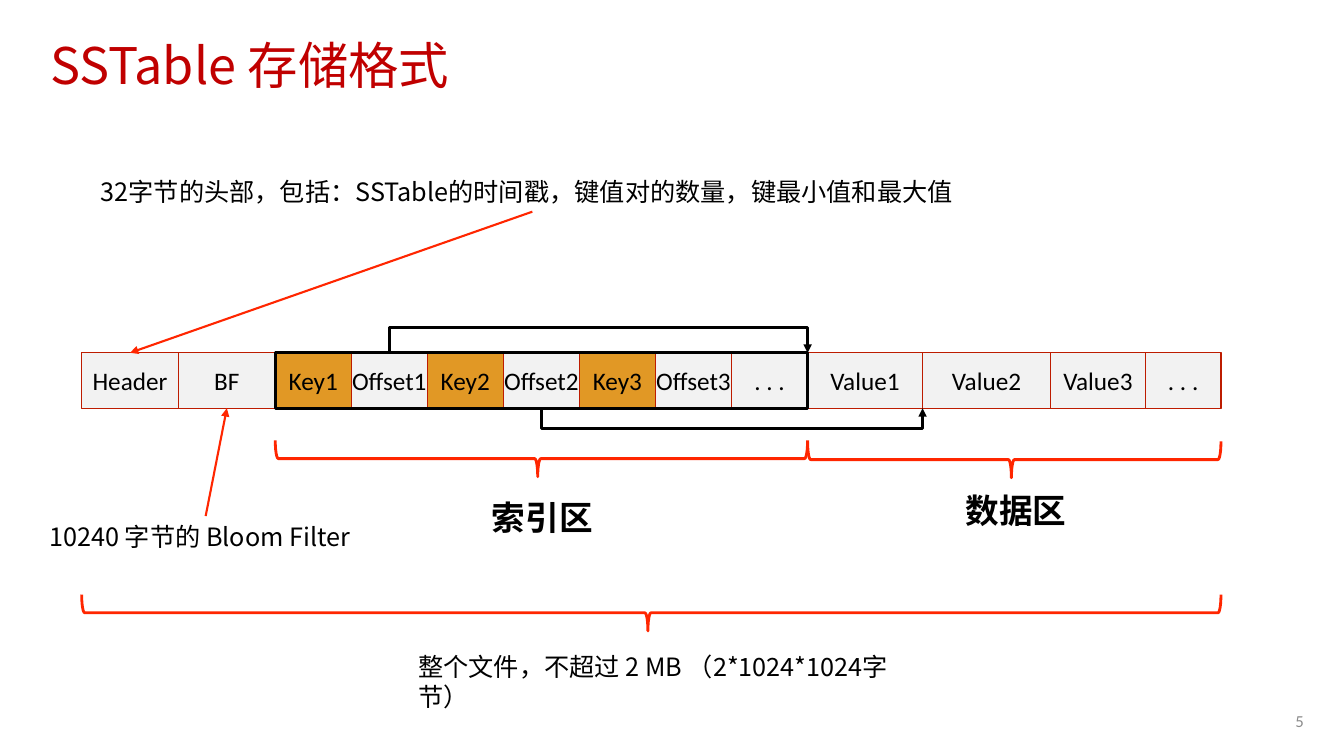
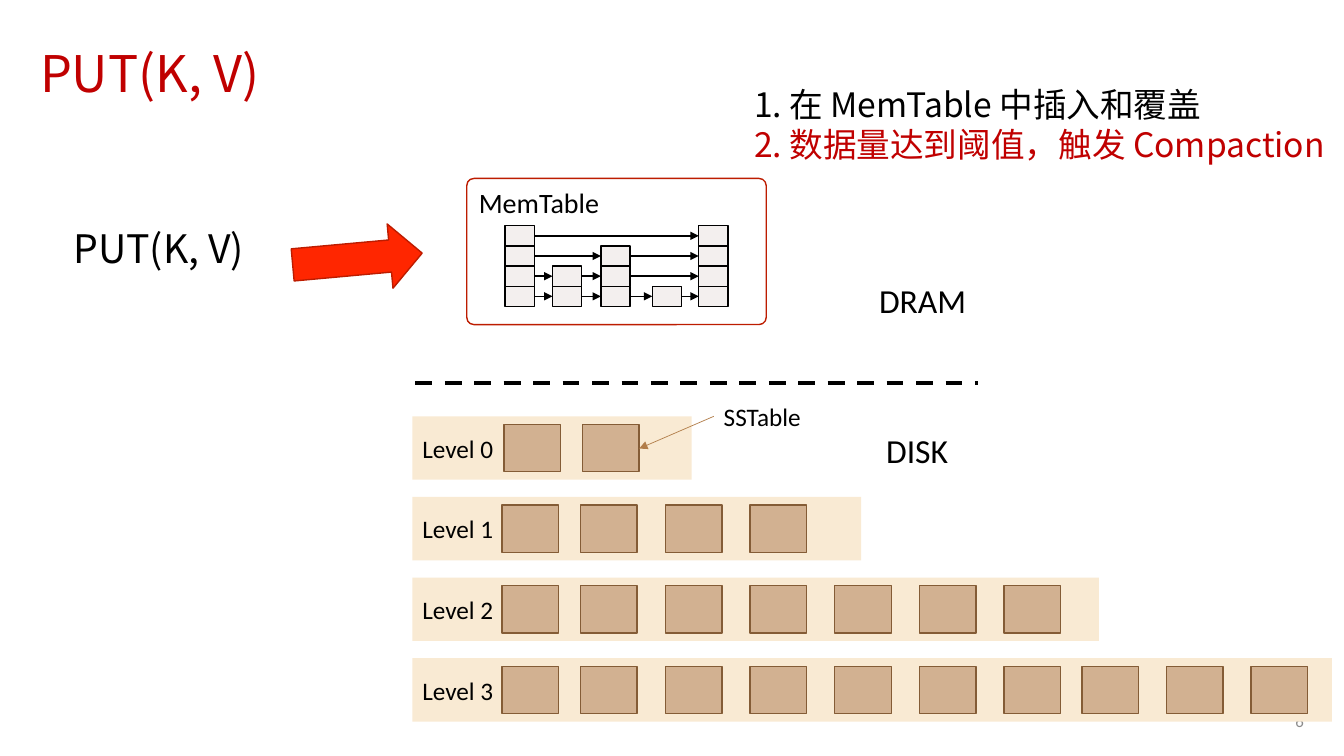
from itertools import pairwise
from lxml.etree import SubElement
from pptx import Presentation
from pptx.dml.color import RGBColor
from pptx.enum.dml import MSO_LINE
from pptx.enum.shapes import MSO_CONNECTOR, MSO_SHAPE
from pptx.enum.text import MSO_ANCHOR, PP_ALIGN
from pptx.oxml.ns import qn
from pptx.util import Inches, Pt


class Theme:
    black = "000000"
    title = "C00000"
    red = "FF2600"
    edge = "BD1C00"
    gold = "E19825"
    pale = "F2F2F2"
    gray = "8C8C8C"
    node = "E7DEDA"
    band = "F9EAD3"
    tan = "D2B191"
    brown = "845C36"
    hint = "B27D49"
    latin = "Calibri"
    cjk = "Noto Sans CJK SC"
    head, call, big, mid, body, foot = 36, 28, 24, 20, 18, 12


KEY = 5.28 / 7
CELLS = [
    ("Header", 0.96, Theme.pale), ("BF", 0.96, Theme.pale),
    ("Key1", KEY, Theme.gold), ("Offset1", KEY, Theme.pale),
    ("Key2", KEY, Theme.gold), ("Offset2", KEY, Theme.pale),
    ("Key3", KEY, Theme.gold), ("Offset3", KEY, Theme.pale),
    (". . .", KEY, Theme.pale), ("Value1", 1.14, Theme.pale),
    ("Value2", 1.27, Theme.pale), ("Value3", 0.94, Theme.pale),
    (". . .", 0.75, Theme.pale),
]
ROW = (0.81, 3.5, 0.55)
AREAS = [("索引区", 4.78, 4.88), ("数据区", 9.48, 4.81)]
NOTES = [
    ("32字节的头部，包括：SSTable的时间戳，键值对的数量，键最小值和最大值", (0.9, 1.7, 8.75, 0.4), True),
    ("10240 字节的 Bloom Filter", (0.39, 5.12, 3.31, 0.4), False),
    ("整个文件，不超过 2 MB （2*1024*1024字节）", (4.05, 6.41, 5.2, 0.4), True),
]
STEPS = [("1. 在 MemTable 中插入和覆盖", Theme.black),
         ("2. 数据量达到阈值，触发 Compaction", Theme.title)]
TOWERS = [(5.01, 4), (5.48, 2), (5.96, 3), (6.47, 1), (6.93, 4)]
LEVELS = [(2.77, 2), (4.45, 4), (6.81, 7), (9.12, 10)]
BLOCKS = [4.98, 5.76, 6.6, 7.44, 8.28, 9.12, 9.96, 10.73, 11.57, 12.41]
LABELS = [("DRAM", (8.62, 2.73, 1.07, 0.5), Theme.big),
          ("DISK", (8.69, 4.22, 0.82, 0.5), Theme.big),
          ("SSTable", (7.08, 3.93, 0.97, 0.4), Theme.body)]


def rgb(code):
    return RGBColor.from_string(code)


def write(frame, lines, size, face=Theme.latin, align=PP_ALIGN.LEFT,
          anchor=MSO_ANCHOR.TOP, wrap=False, bold=False, space=None):
    frame.word_wrap = wrap
    frame.vertical_anchor = anchor
    for i, (text, color) in enumerate(lines):
        para = frame.add_paragraph() if i else frame.paragraphs[0]
        para.text = text
        para.alignment = align
        para.line_spacing = space
        font = para.font
        font.size, font.name, font.bold = Pt(size), face, bold
        font.color.rgb = rgb(color)
        SubElement(font._element, qn("a:ea")).set("typeface", Theme.cjk)


def label(slide, text, box, size, color=Theme.black, **style):
    area = slide.shapes.add_textbox(*map(Inches, box))
    lines = [(text, color)] if isinstance(text, str) else text
    write(area.text_frame, lines, size, **style)


def ink(line, color, width):
    line.color.rgb = rgb(color)
    line.width = Pt(width)


def block(slide, box, fill=None, edge=None, width=1, kind=MSO_SHAPE.RECTANGLE, adjust=()):
    shape = slide.shapes.add_shape(kind, *map(Inches, box))
    shape.shadow.inherit = False
    for i, value in enumerate(adjust):
        shape.adjustments[i] = value
    if fill:
        shape.fill.solid()
        shape.fill.fore_color.rgb = rgb(fill)
    else:
        shape.fill.background()
    if edge:
        ink(shape.line, edge, width)
    else:
        shape.line.fill.background()
    return shape


def tip(line):
    SubElement(line._get_or_add_ln(), qn("a:tailEnd")).set("type", "triangle")


def link(slide, start, end, color, width, arrow=True):
    wire = slide.shapes.add_connector(MSO_CONNECTOR.STRAIGHT, *map(Inches, start + end))
    ink(wire.line, color, width)
    SubElement(wire._element.spPr, qn("a:effectLst"))
    if arrow:
        tip(wire.line)
    return wire


def bend(slide, points):
    spots = [tuple(map(Inches, point)) for point in points]
    build = slide.shapes.build_freeform(*spots[0])
    build.add_line_segments(spots[1:], close=False)
    wire = build.convert_to_shape()
    wire.shadow.inherit = False
    wire.fill.background()
    ink(wire.line, Theme.black, 2)
    tip(wire.line)


def brace(slide, left, right, top, notch):
    deep, span = 0.36, right - left
    box = ((left + right - deep) / 2, top + (deep - span) / 2, deep, span)
    block(slide, box, None, Theme.red, 2, MSO_SHAPE.RIGHT_BRACE, (0.083, notch)).rotation = 90


def start(deck, title, box, number):
    slide = deck.slides.add_slide(deck.slide_layouts[6])
    label(slide, title, box, Theme.head, Theme.title, face=Theme.cjk,
          anchor=MSO_ANCHOR.MIDDLE, wrap=True, space=0.9)
    label(slide, str(number), (9.42, 6.95, 3.61, 0.4), Theme.foot, Theme.gray,
          align=PP_ALIGN.RIGHT, anchor=MSO_ANCHOR.MIDDLE, wrap=True)
    return slide


def layout(deck):
    slide = start(deck, "SSTable 存储格式", (0.4, 0.09, 12.6, 1.18), 5)
    left, top, high = ROW
    base = top + high
    edges = [left]
    for text, wide, fill in CELLS:
        cell = block(slide, (edges[-1], top, wide, high), fill, Theme.edge)
        write(cell.text_frame, [(text, Theme.black)], Theme.body,
              align=PP_ALIGN.CENTER, anchor=MSO_ANCHOR.MIDDLE)
        edges.append(edges[-1] + wide)
    mids = [(a + b) / 2 for a, b in pairwise(edges)]
    index, data, end = edges[2], edges[9], edges[-1]
    block(slide, (index, top, data - index, high), None, Theme.black, 2)
    for source, target, side, turn in [(3, 9, top, 3.25), (5, 10, base, 4.25)]:
        x, to = mids[source], edges[target]
        bend(slide, [(x, side), (x, turn), (to, turn), (to, side)])
    for a, b, y, notch in [(index, data, 4.37, 0.507), (data, end, 4.38, 0.507),
                           (left, end, 5.9, 0.503)]:
        brace(slide, a, b, y, notch)
    for text, x, y in AREAS:
        label(slide, text, (x, y, 1.21, 0.5), Theme.big, face=Theme.cjk, bold=True)
    for text, box, wrap in NOTES:
        label(slide, text, box, Theme.body, face=Theme.cjk, wrap=wrap)
    link(slide, (5.28, 2.1), (mids[0], top), Theme.red, 1.5)
    link(slide, (2.04, 5.12), (mids[1], base), Theme.red, 1.5)


def memory(slide):
    table = block(slide, (4.63, 1.77, 2.97, 1.45), None, Theme.edge,
                  kind=MSO_SHAPE.ROUNDED_RECTANGLE, adjust=(0.049,))
    write(table.text_frame, [("MemTable", Theme.black)], Theme.mid)
    wide, high, top = 0.29, 0.2, 2.24
    for row in range(4):
        y = top + row * high
        line = [x for x, tall in TOWERS if tall >= 4 - row]
        for x in line:
            node = block(slide, (x, y, wide, high), Theme.node, Theme.black)
            tone = node._element.spPr.find(qn("a:solidFill"))[0]
            SubElement(tone, qn("a:alpha")).set("val", "46000")
        for a, b in pairwise(line):
            link(slide, (a + wide, y + high / 2), (b, y + high / 2), Theme.black, 1)


def disk(slide):
    for i, (wide, count) in enumerate(LEVELS):
        y = 4.13 + 0.8 * i
        band = block(slide, (4.09, y, wide, 0.63), Theme.band)
        write(band.text_frame, [(f"Level {i}", Theme.black)], Theme.body,
              anchor=MSO_ANCHOR.MIDDLE)
        shift = 0 if i else 0.02
        for x in BLOCKS[:count]:
            block(slide, (x + shift, y + 0.08, 0.56, 0.47), Theme.tan, Theme.brown)
    link(slide, (7.08, 4.13), (6.34, 4.45), Theme.hint, 0.5)


def put(deck):
    slide = start(deck, "PUT(K, V)", (0.3, 0.4, 12.73, 0.71), 6)
    memory(slide)
    disk(slide)
    split = link(slide, (4.12, 3.8), (9.7, 3.8), Theme.black, 3, arrow=False)
    split.line.dash_style = MSO_LINE.DASH
    for text, box, size in LABELS:
        label(slide, text, box, size)
    arrow = block(slide, (2.9, 2.25, 1.29, 0.64), Theme.red, Theme.edge,
                  kind=MSO_SHAPE.RIGHT_ARROW)
    arrow.rotation = 354.8
    label(slide, "PUT(K, V)", (0.63, 2.18, 1.95, 0.57), Theme.call, face=Theme.cjk)
    label(slide, STEPS, (7.38, 0.78, 6.19, 0.91), Theme.big, face=Theme.cjk)


def main():
    deck = Presentation()
    deck.slide_width, deck.slide_height = Inches(13.33), Inches(7.5)
    layout(deck)
    put(deck)
    deck.save("out.pptx")


if __name__ == "__main__":
    main()
